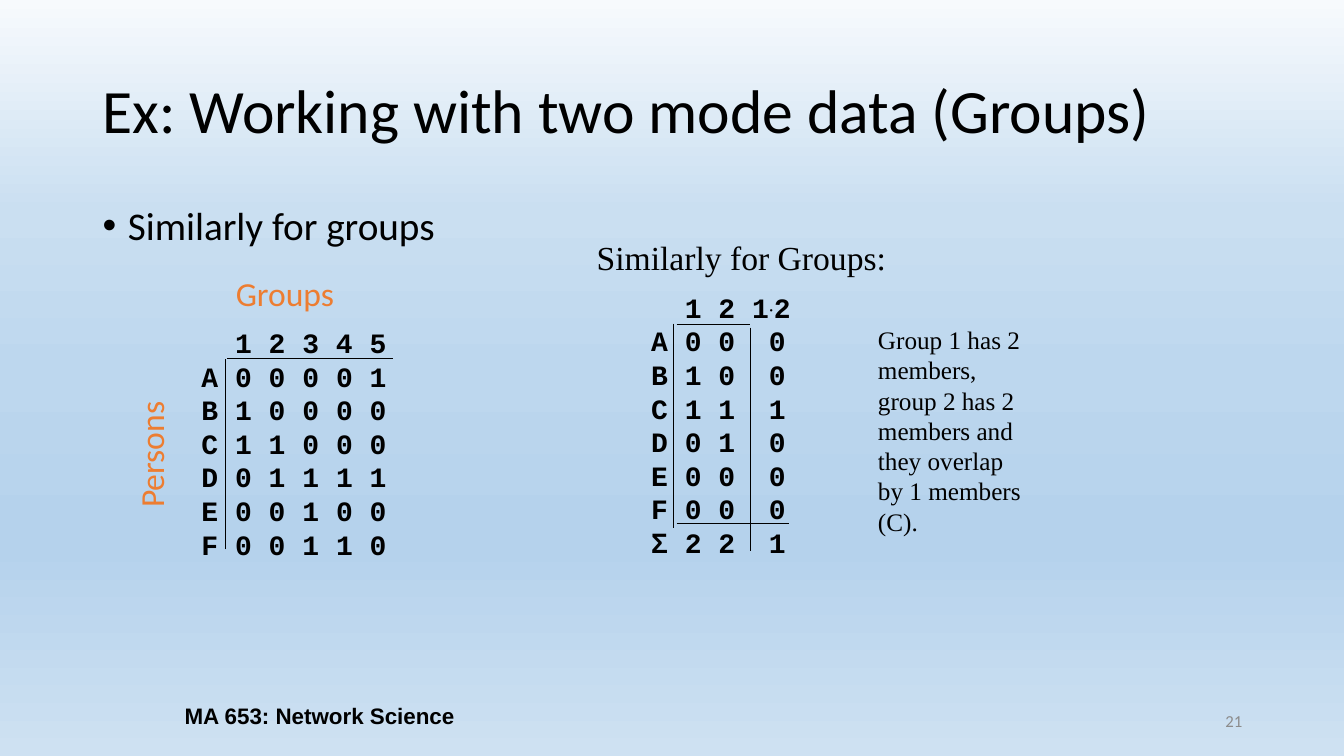
from lxml.etree import SubElement
from pptx import Presentation
from pptx.dml.color import RGBColor
from pptx.enum.shapes import MSO_CONNECTOR
from pptx.enum.text import MSO_ANCHOR, PP_ALIGN
from pptx.oxml.ns import qn
from pptx.util import Inches, Pt

THEME = {
    "ink": "000000", "accent": "ED7D31", "muted": "8C8C8C",
    "body": "Calibri", "footer": "Arial", "matrix": "Courier New", "note": "Times New Roman",
    "title_size": 44, "bullet_size": 28, "label_size": 24, "matrix_size": 20,
    "note_size": 18, "footer_size": 16, "number_size": 12, "dot_size": 10,
    "line_width": 0.75,
    "background": [(0, "F7FAFD"), (28, "CADFF1"), (49, "BDD7EE"),
                   (71, "B5D2EC"), (72, "B5D2EC"), (100, "CEE1F2")],
}

TEXTS = [
    {"text": "Ex: Working with two mode data (Groups)", "box": (0.92, 0.4, 11.5, 1.45),
     "size": "title_size", "anchor": MSO_ANCHOR.MIDDLE, "spacing": 0.9},
    {"text": "Similarly for groups", "box": (0.92, 2, 11.5, 4.76),
     "size": "bullet_size", "spacing": 0.9, "bullet": True},
    {"text": "21", "box": (9.42, 6.95, 3, 0.4), "size": "number_size", "color": "muted",
     "anchor": MSO_ANCHOR.MIDDLE, "align": PP_ALIGN.RIGHT},
    {"text": "MA 653: Network Science", "box": (0.92, 6.9, 4.5, 0.4), "size": "footer_size",
     "font": "footer", "bold": True, "anchor": MSO_ANCHOR.MIDDLE, "align": PP_ALIGN.CENTER},
    {"text": "Persons", "box": (0.86, 4.25, 1.27, 0.5), "size": "label_size",
     "color": "accent", "rotation": 270, "wrap": False},
    {"text": "Groups", "box": (2.24, 2.66, 1.19, 0.5), "size": "label_size",
     "color": "accent", "wrap": False},
    {"text": "Similarly for Groups:", "box": (5.82, 2.3, 3.07, 0.5), "size": "label_size",
     "font": "note", "wrap": False},
    {"text": "Group 1 has 2 members, group 2 has 2 members and they overlap by 1 members (C).",
     "box": (8.61, 3.17, 1.7, 2.2), "size": "note_size", "font": "note"},
]

MEMBERSHIP = {
    "box": (1.9, 3.18, 2.1, 2.43),
    "rows": ["\t1 2 3 4 5", "A 0 0 0 0 1", "B 1 0 0 0 0", "C 1 1 0 0 0",
             "D 0 1 1 1 1", "E 0 0 1 0 0", "F 0 0 1 1 0"],
    "rules": [(2.25, 3.56, 3.9, 3.56), (2.24, 5.45, 2.24, 3.56)],
}
OVERLAP = {
    "box": (6.36, 2.83, 1.75, 2.77),
    "rows": ["\t1 2 1•2", "A 0 0\t0", "B 1 0\t0", "C 1 1\t1",
             "D 0 1\t0", "E 0 0\t0", "F 0 0\t0", "Σ 2 2\t1"],
    "rules": [(6.71, 5.19, 7.83, 5.19), (7.44, 3.25, 7.44, 5.47),
              (6.68, 3.21, 6.68, 5.24), (6.71, 3.22, 7.44, 3.22)],
}
CHARACTER_WIDTH = THEME["matrix_size"] * 0.6 / 72
TAB_COLUMNS = (2, 7)


def paint_background(slide):
    fill = slide.background.fill
    fill.gradient()
    fill.gradient_angle = 270
    stops = slide.element.find(".//" + qn("a:gsLst"))
    for stop in list(stops):
        stops.remove(stop)
    for position, color in THEME["background"]:
        stop = SubElement(stops, qn("a:gs"), pos=str(position * 1000))
        SubElement(stop, qn("a:srgbClr"), val=color)


def add_box(shapes, box, wrap=True):
    shape = shapes.add_textbox(*map(Inches, box))
    shape.text_frame.word_wrap = wrap
    return shape


def add_run(paragraph, text, size, font="body", color="ink", bold=False):
    run = paragraph.add_run()
    run.text = text
    run.font.name = THEME[font]
    run.font.size = Pt(THEME[size])
    run.font.bold = bold
    run.font.color.rgb = RGBColor.from_string(THEME[color])
    return run


def add_bullet(paragraph):
    properties = paragraph._p.get_or_add_pPr()
    properties.set("marL", str(Inches(0.25)))
    properties.set("indent", str(Inches(-0.25)))
    SubElement(properties, qn("a:buFont"), typeface="Arial")
    SubElement(properties, qn("a:buChar"), char="•")


def add_text(slide, item):
    shape = add_box(slide.shapes, item["box"], item.get("wrap", True))
    shape.rotation = item.get("rotation", 0)
    shape.text_frame.vertical_anchor = item.get("anchor", MSO_ANCHOR.TOP)
    paragraph = shape.text_frame.paragraphs[0]
    if item.get("bullet"):
        add_bullet(paragraph)
    paragraph.alignment = item.get("align", PP_ALIGN.LEFT)
    paragraph.line_spacing = item.get("spacing", 1.0)
    add_run(paragraph, item["text"], item["size"], item.get("font", "body"),
            item.get("color", "ink"), item.get("bold", False))


def add_tabs(paragraph):
    tabs = SubElement(paragraph._p.get_or_add_pPr(), qn("a:tabLst"))
    for column in TAB_COLUMNS:
        SubElement(tabs, qn("a:tab"), pos=str(Inches(column * CHARACTER_WIDTH)), algn="l")


def add_matrix_row(paragraph, row):
    add_tabs(paragraph)
    before, dot, after = row.partition("•")
    if before.startswith("Σ"):
        add_run(paragraph, "Σ", "matrix_size", "footer", bold=True)
        before = before[1:]
    add_run(paragraph, before, "matrix_size", "matrix", bold=True)
    if dot:
        raised = add_run(paragraph, dot, "dot_size", "matrix", bold=True)
        raised.font._element.set("baseline", "30000")
        add_run(paragraph, after, "matrix_size", "matrix", bold=True)


def add_rule(shapes, ends):
    rule = shapes.add_connector(MSO_CONNECTOR.STRAIGHT, *map(Inches, ends))
    rule.line.color.rgb = RGBColor.from_string(THEME["ink"])
    rule.line.width = Pt(THEME["line_width"])
    SubElement(rule._element.spPr, qn("a:effectLst"))


def add_matrix(slide, matrix):
    group = slide.shapes.add_group_shape()
    frame = add_box(group.shapes, matrix["box"]).text_frame
    for index, row in enumerate(matrix["rows"]):
        paragraph = frame.add_paragraph() if index else frame.paragraphs[0]
        add_matrix_row(paragraph, row)
    for ends in matrix["rules"]:
        add_rule(group.shapes, ends)


def main():
    presentation = Presentation()
    presentation.slide_width = Inches(13.33)
    presentation.slide_height = Inches(7.5)
    slide = presentation.slides.add_slide(presentation.slide_layouts[6])
    paint_background(slide)
    for item in TEXTS:
        add_text(slide, item)
    for matrix in (MEMBERSHIP, OVERLAP):
        add_matrix(slide, matrix)
    presentation.save("out.pptx")


if __name__ == "__main__":
    main()
